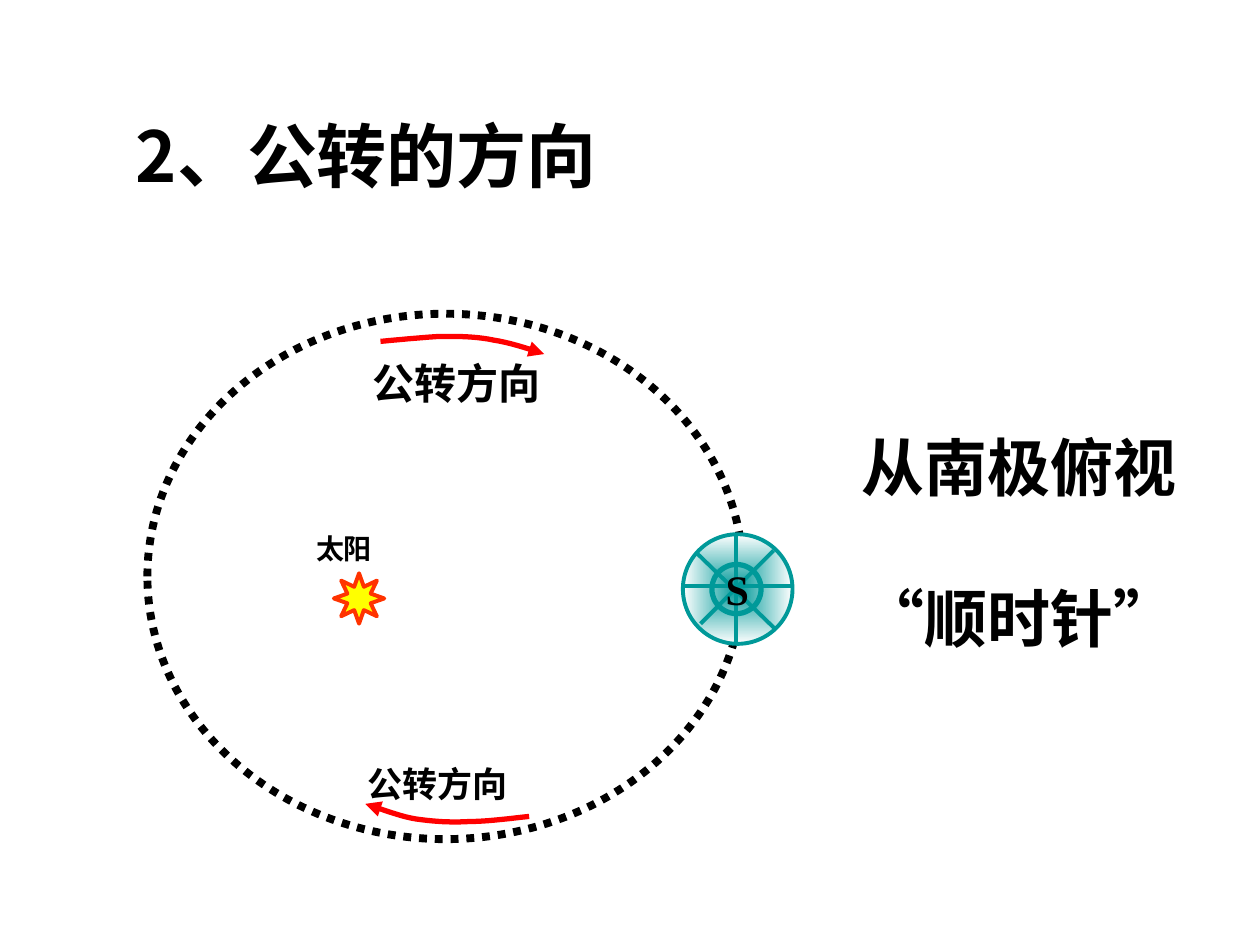
from math import cos, sin, radians
from pptx import Presentation
from pptx.dml.color import RGBColor
from pptx.enum.dml import MSO_LINE
from pptx.enum.shapes import MSO_CONNECTOR, MSO_SHAPE
from pptx.enum.text import PP_ALIGN
from pptx.oxml.ns import qn
from pptx.util import Inches, Pt
from lxml.etree import SubElement

BLACK = RGBColor(0, 0, 0)
WHITE = RGBColor(255, 255, 255)
RED = RGBColor(255, 0, 0)
FLAME = RGBColor(255, 51, 0)
YELLOW = RGBColor(255, 255, 0)
TEAL = RGBColor(0, 153, 153)
SERIF, HAN, SANS = "Times New Roman", "Noto Sans CJK SC", "Arial"


def add_text(slide, lines, left, top, width, height, size=24, font=SERIF,
             align=PP_ALIGN.LEFT, gap=0, wrap=True):
    """Each line is a list of (text, font) runs or a plain string."""
    box = slide.shapes.add_textbox(Inches(left), Inches(top),
                                   Inches(width), Inches(height))
    frame = box.text_frame
    frame.word_wrap = wrap
    for i, line in enumerate(lines):
        para = frame.paragraphs[0] if i == 0 else frame.add_paragraph()
        para.alignment = align
        if i:
            para.space_before = Pt(gap)
        for text, face in [(line, font)] if isinstance(line, str) else line:
            run = para.add_run()
            run.text = text
            run.font.name = face
            run.font.size = Pt(size)
            run.font.bold = True
            run.font.color.rgb = BLACK
            SubElement(run.font._element, qn("a:ea"), typeface=HAN)


def style(shape, line, width, fill=None):
    shape.shadow.inherit = False
    if fill is None:
        shape.fill.background()
    else:
        shape.fill.solid()
        shape.fill.fore_color.rgb = fill
    shape.line.color.rgb = line
    shape.line.width = Pt(width)


def add_oval(slide, left, top, width, height, line, weight):
    oval = slide.shapes.add_shape(MSO_SHAPE.OVAL, Inches(left), Inches(top),
                                  Inches(width), Inches(height))
    style(oval, line, weight)
    return oval


def add_path(slide, points, closed):
    spots = [(Inches(x), Inches(y)) for x, y in points]
    pen = slide.shapes.build_freeform(*spots[0])
    pen.add_line_segments(spots[1:], close=closed)
    return pen.convert_to_shape()


def add_sun(slide, x, y, outer, inner):
    points = []
    for i in range(16):
        reach = inner if i % 2 else outer
        turn = radians(i * 22.5)
        points.append((x + reach * cos(turn), y + reach * sin(turn)))
    style(add_path(slide, points, True), FLAME, 2.25, YELLOW)


def add_arrow(slide, nodes, steps=10):
    """Trace joined cubic curves; the arrowhead sits on the first node."""
    points = [nodes[0]]
    for i in range(0, len(nodes) - 1, 3):
        curve = nodes[i:i + 4]
        for k in range(1, steps + 1):
            t = k / steps
            parts = ((1 - t) ** 3, 3 * t * (1 - t) ** 2,
                     3 * t * t * (1 - t), t ** 3)
            points.append(tuple(sum(w * node[axis]
                                    for w, node in zip(parts, curve))
                                for axis in (0, 1)))
    arrow = add_path(slide, points, False)
    style(arrow, RED, 3)
    SubElement(arrow.line._get_or_add_ln(), qn("a:headEnd"), type="triangle")


def add_spoke(slide, x1, y1, x2, y2):
    spoke = slide.shapes.add_connector(MSO_CONNECTOR.STRAIGHT, Inches(x1),
                                       Inches(y1), Inches(x2), Inches(y2))
    spoke.line.color.rgb = TEAL
    spoke.line.width = Pt(2.25)
    SubElement(spoke._element.spPr, qn("a:effectLst"))


def add_earth(slide):
    globe = add_oval(slide, 5.42, 4.24, 0.87, 0.87, TEAL, 2.25)
    globe.fill.gradient()
    for stop, color in zip(globe.fill.gradient_stops, (TEAL, WHITE)):
        stop.color.rgb = color
    # Gradient spreads from the centre
    grad = globe._element.spPr.find(qn("a:gradFill"))
    grad.remove(grad.find(qn("a:lin")))
    glow = SubElement(grad, qn("a:path"), path="rect")
    SubElement(glow, qn("a:fillToRect"), l="50000", t="50000",
               r="50000", b="50000")
    # Meridians and inner circle
    add_spoke(slide, 5.43, 4.65, 6.3, 4.65)
    add_spoke(slide, 5.84, 4.24, 5.84, 5.11)
    add_oval(slide, 5.65, 4.48, 0.39, 0.39, TEAL, 3)
    add_spoke(slide, 5.56, 4.95, 6.14, 4.37)
    add_spoke(slide, 5.53, 4.39, 6.15, 4.99)
    add_text(slide, ["S"], 5.66, 4.42, 0.38, 0.5, wrap=False)


def main():
    deck = Presentation()
    deck.slide_width, deck.slide_height = Inches(10), Inches(7.5)
    slide = deck.slides.add_slide(deck.slide_layouts[6])

    # Title and conclusion
    add_text(slide, ["2、公转的方向"], 0.98, 0.84, 5.35, 0.77,
             size=40, font=HAN)
    quote = [("“", SANS), ("顺时针", SERIF), ("”", SANS)]
    add_text(slide, ["从南极俯视", quote], 6, 3.35, 4.17, 1.9,
             size=36, align=PP_ALIGN.CENTER, gap=43)

    # Orbit and sun
    orbit = add_oval(slide, 1.17, 2.49, 4.73, 4.17, BLACK, 4.5)
    orbit.line.dash_style = MSO_LINE.ROUND_DOT
    add_sun(slide, 2.85, 4.75, 0.2, 0.1)
    add_text(slide, ["太阳"], 2.41, 4.17, 1.75, 0.37, size=16)

    # Direction of travel
    add_arrow(slide, [(4.32, 2.81), (4.26, 2.79), (4.06, 2.72), (3.92, 2.7),
                      (3.78, 2.67), (3.64, 2.67), (3.49, 2.67),
                      (3.34, 2.68), (3.12, 2.7), (3.02, 2.71)])
    add_arrow(slide, [(2.9, 6.38), (2.97, 6.4), (3.17, 6.48), (3.3, 6.5),
                      (3.44, 6.52), (3.58, 6.53), (3.73, 6.52),
                      (3.88, 6.52), (4.1, 6.49), (4.2, 6.48)])
    add_text(slide, ["公转方向"], 2.82, 6, 1.76, 0.44, size=20)
    add_text(slide, ["公转方向"], 2.86, 2.79, 1.64, 0.5)

    # Earth seen from the south pole
    add_earth(slide)
    deck.save("out.pptx")


if __name__ == "__main__":
    main()
